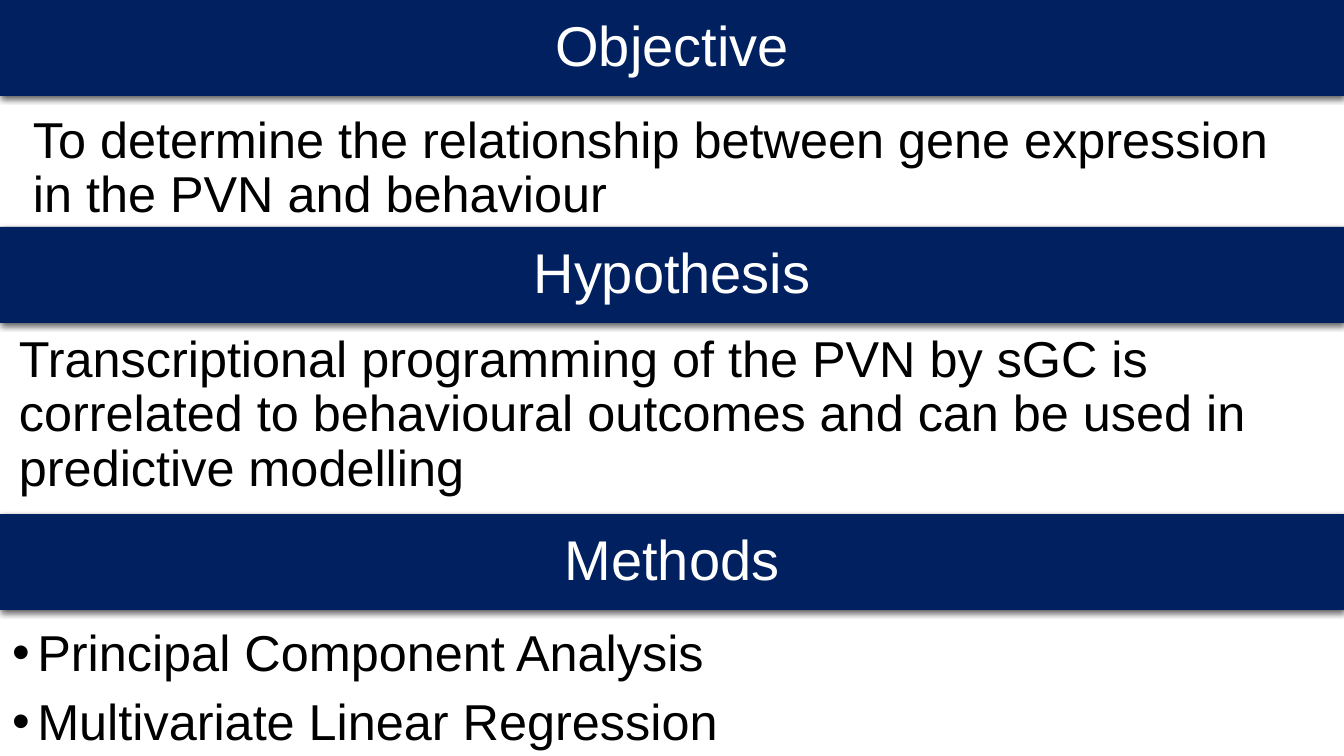
from dataclasses import dataclass

from lxml import etree
from pptx import Presentation
from pptx.dml.color import RGBColor
from pptx.enum.shapes import MSO_SHAPE
from pptx.enum.text import MSO_ANCHOR, MSO_AUTO_SIZE, PP_ALIGN
from pptx.oxml.ns import qn
from pptx.util import Emu, Inches, Pt

RECTANGLE = MSO_SHAPE.RECTANGLE
MIDDLE, TOP = MSO_ANCHOR.MIDDLE, MSO_ANCHOR.TOP
CENTER, LEFT = PP_ALIGN.CENTER, PP_ALIGN.LEFT
NO_AUTOFIT = MSO_AUTO_SIZE.NONE

# Headings with the top of each band, in px
BANDS = [("Objective", 0), ("Hypothesis", 227), ("Methods", 514)]
# Statements with left, top, width, height, in px
STATEMENTS = [
    ("To determine the relationship between gene expression in the PVN and behaviour",
     (23, 110, 1295, 148)),
    ("Transcriptional programming of the PVN by sGC is correlated to behavioural "
     "outcomes and can be used in predictive modelling",
     (9, 329, 1333, 148)),
]
METHODS = ["Principal Component Analysis", "Multivariate Linear Regression"]
METHODS_BOX = (2, 623, 969, 133)

SLIDE_W, SLIDE_H, BAND_H = 1344, 756, 96
EMU_PER_PX = Inches(13.3333333) / SLIDE_W


@dataclass(frozen=True)
class Theme:
    navy: RGBColor = RGBColor(0x00, 0x20, 0x60)
    white: RGBColor = RGBColor(0xFF, 0xFF, 0xFF)
    black: RGBColor = RGBColor(0x00, 0x00, 0x00)
    font: str = "Arial"
    heading: Pt = Pt(40)
    body: Pt = Pt(36)
    line_spacing: float = 0.9
    body_gap: Pt = Pt(10)


THEME = Theme()


def px(length):
    return Emu(round(length * EMU_PER_PX))


def place(shape, box):
    shape.left, shape.top, shape.width, shape.height = map(px, box)


def write(shape, lines, size, color, align, anchor, gap):
    frame = shape.text_frame
    frame.text = "\n".join(lines)
    frame.word_wrap = True
    frame.auto_size = NO_AUTOFIT
    frame.vertical_anchor = anchor
    for paragraph in frame.paragraphs:
        paragraph.alignment = align
        paragraph.line_spacing = THEME.line_spacing
        paragraph.space_before = gap
        paragraph.font.name = THEME.font
        paragraph.font.size = size
        paragraph.font.color.rgb = color


def write_body(shape, lines):
    write(shape, lines, THEME.body, THEME.black, LEFT, TOP, THEME.body_gap)


def add_soft_shadow(shape):
    shape.shadow.inherit = False
    effects = shape._element.spPr.find(qn("a:effectLst"))
    shadow = etree.SubElement(effects, qn("a:outerShdw"), blurRad=str(Pt(4.5)),
                              dist=str(Pt(1.5)), dir="5400000",
                              algn="ctr", rotWithShape="0")
    black = etree.SubElement(shadow, qn("a:srgbClr"), val=str(THEME.black))
    etree.SubElement(black, qn("a:alpha"), val="63000")


def style_band(band, heading, top):
    place(band, (0, top, SLIDE_W, BAND_H))
    band.fill.solid()
    band.fill.fore_color.rgb = THEME.navy
    band.line.fill.background()
    add_soft_shadow(band)
    write(band, [heading], THEME.heading, THEME.white, CENTER, MIDDLE, Pt(0))


def add_bullets(shape):
    for paragraph in shape.text_frame.paragraphs:
        properties = paragraph._p.get_or_add_pPr()
        properties.set("marL", str(Inches(0.25)))
        properties.set("indent", str(-Inches(0.25)))
        bullet_font = etree.Element(qn("a:buFont"), typeface=THEME.font)
        bullet = etree.Element(qn("a:buChar"), char="•")
        defaults = properties.find(qn("a:defRPr"))
        defaults.addprevious(bullet_font)
        defaults.addprevious(bullet)


def main():
    deck = Presentation()
    deck.slide_width, deck.slide_height = px(SLIDE_W), px(SLIDE_H)
    slide = deck.slides.add_slide(deck.slide_layouts.get_by_name("Title and Content"))
    title, methods = slide.placeholders

    for text, box in STATEMENTS:
        statement = slide.shapes.add_textbox(*map(px, box))
        write_body(statement, [text])

    style_band(title, *BANDS[0])
    for heading, top in BANDS[1:]:
        band = slide.shapes.add_shape(RECTANGLE, 0, px(top), px(SLIDE_W), px(BAND_H))
        style_band(band, heading, top)

    place(methods, METHODS_BOX)
    write_body(methods, METHODS)
    add_bullets(methods)

    deck.save("out.pptx")


if __name__ == "__main__":
    main()
